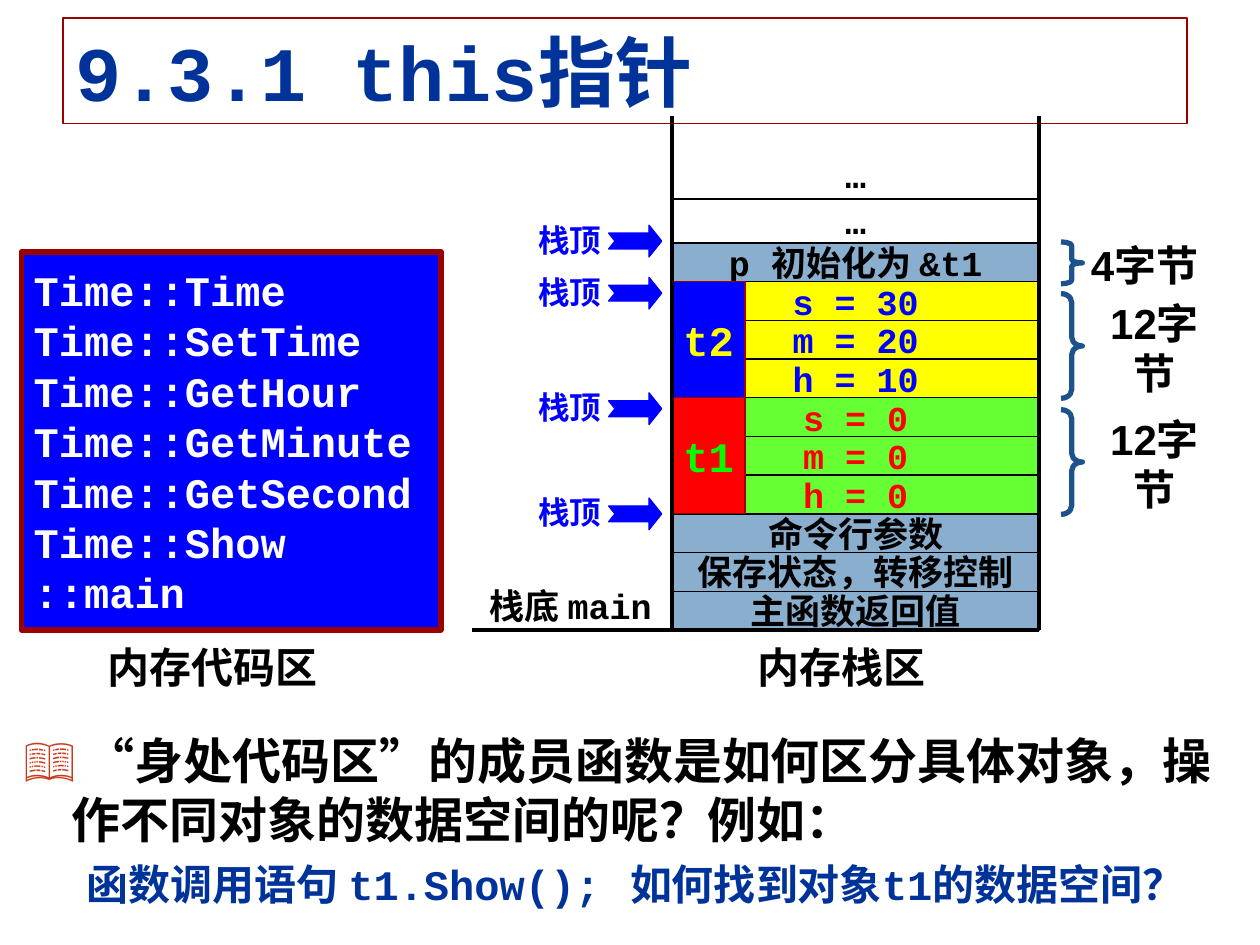
from lxml import etree
from pptx import Presentation
from pptx.dml.color import RGBColor
from pptx.enum.shapes import MSO_CONNECTOR, MSO_SHAPE
from pptx.enum.text import MSO_ANCHOR, MSO_AUTO_SIZE, PP_ALIGN
from pptx.oxml.ns import qn
from pptx.util import Cm, Pt

RECT, BRACE, ARROW = MSO_SHAPE.RECTANGLE, MSO_SHAPE.RIGHT_BRACE, MSO_SHAPE.NOTCHED_RIGHT_ARROW
STRAIGHT = MSO_CONNECTOR.STRAIGHT
LEFT, CENTER, MIDDLE = PP_ALIGN.LEFT, PP_ALIGN.CENTER, MSO_ANCHOR.MIDDLE
MONO, SANS, CJK, SERIF = "Courier New", "Arial", "Noto Sans CJK SC", "Times New Roman"
COLORS = {
    "black": "000000", "white": "FFFFFF", "navy": "003399", "maroon": "990000",
    "blue": "0000FF", "steel": "8AAECE", "yellow": "FFFF00", "lime": "66FF33",
    "green": "00FF00", "red": "FF0000", "brace": "1D528D", "book": "CA3B1E",
}


def rgb(name):
    return RGBColor.from_string(COLORS[name])


def set_font(target, size, color, name=None):
    target.font.size, target.font.bold = Pt(size), True
    target.font.color.rgb = rgb(color)
    if name:
        target.font.name = name


def set_line(shape, color, width):
    shape.line.color.rgb = rgb(color)
    shape.line.width = Pt(width)


def write(shape, lines, size, color, font=MONO, align=CENTER, inset=(0.25, 0.13)):
    frame = shape.text_frame
    frame.word_wrap, frame.vertical_anchor = False, MIDDLE
    frame.margin_left = frame.margin_right = Cm(inset[0])
    frame.margin_top = frame.margin_bottom = Cm(inset[1])
    for i, line in enumerate(lines):
        paragraph = frame.add_paragraph() if i else frame.paragraphs[0]
        paragraph.text, paragraph.alignment = line, align
        set_font(paragraph, size, color, font)


def add_preset(slide, kind, box, fill=None, line=None, width=0.75):
    shape = slide.shapes.add_shape(kind, *map(Cm, box))
    shape.shadow.inherit = False
    if fill:
        shape.fill.solid()
        shape.fill.fore_color.rgb = rgb(fill)
    else:
        shape.fill.background()
    if line:
        set_line(shape, line, width)
    else:
        shape.line.fill.background()
    return shape


def add_label(slide, box, text, size, **style):
    label = slide.shapes.add_textbox(*map(Cm, box))
    write(label, [text], size, "black", **style)


def add_rule(slide, x1, y1, x2, y2):
    rule = slide.shapes.add_connector(STRAIGHT, Cm(x1), Cm(y1), Cm(x2), Cm(y2))
    set_line(rule, "black", 2.25)
    etree.SubElement(rule._element.spPr, qn("a:effectLst"))


def place(placeholder, box):
    placeholder.left, placeholder.top, placeholder.width, placeholder.height = map(Cm, box)
    placeholder.text_frame.auto_size = MSO_AUTO_SIZE.NONE


def fill_title(title, box):
    place(title, box)
    set_line(title, "maroon", 1)
    title.text_frame.vertical_anchor = MIDDLE
    heading = title.text_frame.paragraphs[0]
    heading.text, heading.alignment = "9.3.1 this指针", LEFT
    set_font(heading, 44, "navy", MONO)


def set_indent(paragraph, margin, indent):
    properties = paragraph._p.get_or_add_pPr()
    properties.set("marL", str(Cm(margin)))
    properties.set("indent", str(Cm(indent)))
    return properties


def fill_body(body, box):
    place(body, box)
    frame = body.text_frame
    frame.margin_left = Cm(0.05)

    question = frame.paragraphs[0]
    question.space_before = Pt(0)
    properties = set_indent(question, 0.97, -0.97)
    bullet_color = etree.SubElement(properties, qn("a:buClr"))
    etree.SubElement(bullet_color, qn("a:srgbClr"), val=COLORS["book"])
    etree.SubElement(properties, qn("a:buChar"), char="📖")
    set_font(question, 28, "black")
    for text, font in ((" ", MONO), ("“身处代码区”", SERIF),
                       ("的成员函数是如何区分具体对象，操作不同对象的数据空间的呢？例如：", MONO)):
        run = question.add_run()
        run.text, run.font.name = text, font

    example = frame.add_paragraph()
    example.text, example.level = "函数调用语句 t1.Show();\t如何找到对象t1的数据空间？", 1
    example.space_before = Pt(6)
    properties = set_indent(example, 2.06, -0.79)
    etree.SubElement(properties, qn("a:buNone"))
    tabs = etree.SubElement(properties, qn("a:tabLst"))
    etree.SubElement(tabs, qn("a:tab"), pos=str(Cm(10.16)), algn="l")
    set_font(example, 24, "navy", MONO)


def add_code_area(slide, left, top, width, height):
    area = add_preset(slide, RECT, (left, top, width, height), "blue", "maroon", 3)
    members = ("Time", "SetTime", "GetHour", "GetMinute", "GetSecond", "Show")
    write(area, [f"Time::{member}" for member in members] + ["::main"],
          24, "white", align=LEFT)
    add_label(slide, (left + 1.48, top + height + 0.2, 5.08, 1.07), "内存代码区", 24,
              font=CJK, align=LEFT)


def add_stack(slide, left, top, width, height):
    """Draw the memory stack, its cells listed from top to bottom."""
    cell_height, bottom = 0.78, top + height
    cells = [("p 初始化为 &t1", "steel", "black")]
    cells += [(text, "yellow", "blue") for text in ("s = 30", "m = 20", "h = 10")]
    cells += [(text, "lime", "red") for text in ("s = 0", "m = 0", "h = 0")]
    cells += [(text, "steel", "black") for text in ("命令行参数", "保存状态，转移控制", "主函数返回值")]
    first = bottom - len(cells) * cell_height

    for box, line in (((left, first - 0.89, width, 0.89), "black"),
                      ((left + 0.2, first - 1.83, width - 0.4, 0.89), None)):
        write(add_preset(slide, RECT, box, "white", line), ["…"], 20, "black")
    for i, (text, fill, color) in enumerate(cells):
        box = (left, first + i * cell_height, width, cell_height)
        write(add_preset(slide, RECT, box, fill, "black"), [text], 20, color)
    for row, name, fill, color in ((1, "t2", "blue", "yellow"), (4, "t1", "red", "green")):
        box = (left, first + row * cell_height, 1.47, 3 * cell_height)
        write(add_preset(slide, RECT, box, fill, "maroon"), [name], 24, color)

    add_rule(slide, left - 4.03, bottom, left + width, bottom)
    for x in (left, left + width):
        add_rule(slide, x, bottom, x, top)
    add_label(slide, (left - 3.86, bottom - 0.91, 3.63, 0.84), "栈底 main", 20, inset=(0, 0))
    add_label(slide, (left + 1.48, bottom + 0.2, 5.08, 1.07), "内存栈区", 24,
              font=CJK, align=LEFT)


def add_stack_top(slide, left, top):
    label = add_preset(slide, RECT, (left, top, 1.27, 0.76), "white")
    write(label, ["栈顶"], 18, "blue", font=SANS, inset=(0, 0))
    arrow = add_preset(slide, ARROW, (left + 1.42, top + 0.09, 1.07, 0.64), "blue", "blue")
    arrow.adjustments[0], arrow.adjustments[1] = 0.5, 0.4


def add_byte_count(slide, left, top, height, text, gap):
    width = 0.43
    brace = add_preset(slide, BRACE, (left, top, width, height), line="brace", width=3)
    brace.adjustments[0] = height / width / 12
    add_label(slide, (left + gap, top + height / 2 - 0.7, 2.97, 1.47), text, 24, font=SANS)


def main():
    deck = Presentation()
    deck.slide_width, deck.slide_height = Cm(25.4), Cm(19.05)
    slide = deck.slides.add_slide(deck.slide_layouts[1])
    fill_title(slide.shapes.title, (1.27, 0.36, 22.66, 2.13))
    fill_body(slide.placeholders[1], (0.43, 14.6, 24.77, 4.01))
    add_code_area(slide, 0.43, 5.08, 8.46, 7.62)
    add_stack(slide, 13.55, 2.34, 7.4, 10.36)
    for top in (4.45, 5.5, 7.83, 9.95):
        add_stack_top(slide, 10.85, top)
    for top, height, text, gap in ((4.88, 0.84, "4字节", 0.2), (5.92, 2.11, "12字节", 0.4),
                                   (8.26, 2.11, "12字节", 0.4)):
        add_byte_count(slide, 21.39, top, height, text, gap)
    deck.save("out.pptx")


if __name__ == "__main__":
    main()
